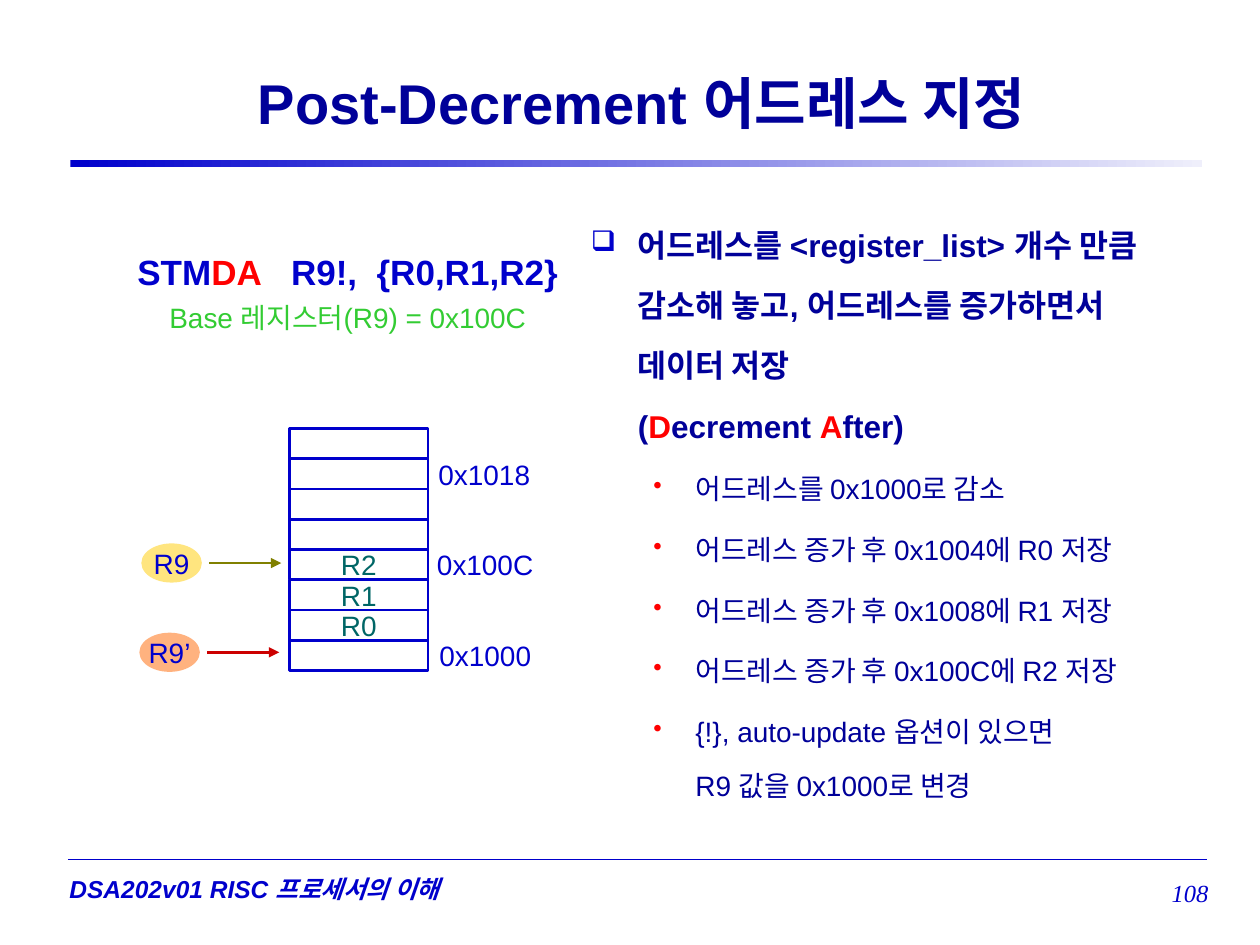
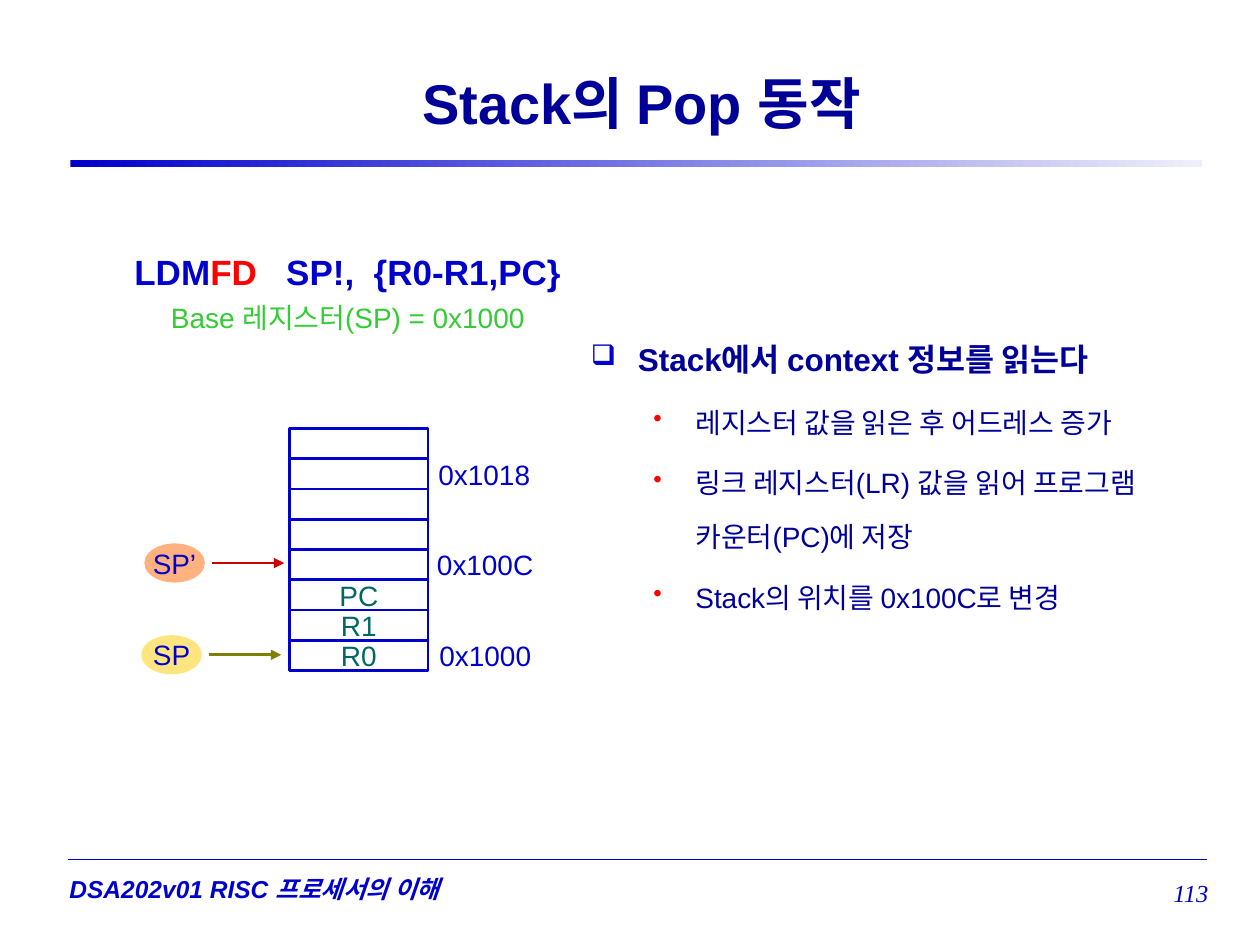
"""Build two slides on load/store-multiple addressing and the stack."""
from dataclasses import dataclass

from lxml import etree
from pptx import Presentation
from pptx import util as u
from pptx.dml.color import RGBColor
from pptx.enum import shapes, text
from pptx.oxml import ns


@dataclass(frozen=True)
class Theme:
    navy: str = "000099"
    blue: str = "0000CC"
    pale: str = "EFEFFB"
    red: str = "FF0000"
    green: str = "33CC33"
    teal: str = "006666"
    yellow: str = "FFCC00"
    orange: str = "FF6600"
    olive: str = "808000"
    crimson: str = "CC0000"
    sans: str = "Arial"
    serif: str = "Times New Roman"
    title: int = 32
    code: int = 20
    lead: int = 18
    body: int = 16
    footer: int = 14


THEME = Theme()
FOOTER = "DSA202v01 RISC 프로세서의 이해"
ADDRESSES = [(1, 8.59, "0x1018"), (4, 8.56, "0x100C"), (7, 8.61, "0x1000")]
BEFORE = (THEME.yellow, THEME.olive)
AFTER = (THEME.orange, THEME.crimson)
SLIDES = [
    {
        "title": "Post-Decrement 어드레스 지정",
        "number": "108",
        "code": ("STM", "DA", "   R9!,  {R0,R1,R2}"),
        "base": "Base 레지스터(R9) = 0x100C",
        "cells": {4: "R2", 5: "R1", 6: "R0"},
        "pointers": [("R9", 2.85, 11.35, BEFORE), ("R9’", 2.81, 13.15, AFTER)],
        "notes_top": 3.96,
        "lead": [
            ("어드레스를 <register_list> 개수 만큼 감소해 놓고, "
             "어드레스를 증가하면서 데이터 저장\n(", THEME.navy),
            ("D", THEME.red),
            ("ecrement ", THEME.navy),
            ("A", THEME.red),
            ("fter)", THEME.navy),
        ],
        "points": [
            "어드레스를 0x1000로 감소",
            "어드레스 증가 후 0x1004에 R0 저장",
            "어드레스 증가 후 0x1008에 R1 저장",
            "어드레스 증가 후 0x100C에 R2 저장",
            "{!}, auto-update 옵션이 있으면\nR9 값을 0x1000로 변경",
        ],
    },
    {
        "title": "Stack의 Pop 동작",
        "number": "113",
        "code": ("LDM", "FD", "   SP!,  {R0-R1,PC}"),
        "base": "Base 레지스터(SP) = 0x1000",
        "cells": {5: "PC", 6: "R1", 7: "R0"},
        "pointers": [("SP", 2.85, 13.2, BEFORE), ("SP’", 2.91, 11.35, AFTER)],
        "notes_top": 6.27,
        "lead": [("Stack에서 context 정보를 읽는다", THEME.navy)],
        "points": [
            "레지스터 값을 읽은 후 어드레스 증가",
            "링크 레지스터(LR) 값을 읽어 프로그램 카운터(PC)에 저장",
            "Stack의 위치를 0x100C로 변경",
        ],
    },
]

ROW_COUNT, ROW_TOP, ROW_PITCH = 8, 8.64, 0.61
CELL_LEFT, CELL_WIDTH = 5.84, 2.79
OVAL_WIDTH, OVAL_HEIGHT = 1.22, 0.79
ARROW_OFFSET, ARROW_LENGTH = 1.37, 1.45


def rgb(value):
    return RGBColor.from_string(value)


def add_span(para, words, size, color, bold=False, italic=False, font=THEME.sans):
    for index, line in enumerate(words.split("\n")):
        if index:
            para.add_line_break()
        span = para.add_run()
        span.text = line
        span.font.name, span.font.size = font, u.Pt(size)
        span.font.bold, span.font.italic = bold, italic
        span.font.color.rgb = rgb(color)


def prepare_frame(shape, inset, anchor):
    frame = shape.text_frame
    frame.word_wrap = True
    frame.margin_left = frame.margin_right = u.Cm(inset)
    frame.margin_top = frame.margin_bottom = u.Cm(0.13)
    frame.vertical_anchor = anchor
    return frame


def add_box(page, left, top, width, height, inset=0.25, anchor=text.MSO_ANCHOR.MIDDLE):
    box = page.shapes.add_textbox(*map(u.Cm, (left, top, width, height)))
    return prepare_frame(box, inset, anchor)


def add_figure(page, kind, left, top, width, height):
    figure = page.shapes.add_shape(kind, *map(u.Cm, (left, top, width, height)))
    figure.shadow.inherit = False
    return figure


def add_line(page, left, y, width, color, weight):
    line = page.shapes.add_connector(
        shapes.MSO_CONNECTOR.STRAIGHT, *map(u.Cm, (left, y, left + width, y)))
    line.line.color.rgb = rgb(color)
    line.line.width = u.Pt(weight)
    etree.SubElement(line._element.spPr, ns.qn("a:effectLst"))
    return line


def write_label(shape, words, color):
    frame = prepare_frame(shape, 0, text.MSO_ANCHOR.MIDDLE)
    frame.word_wrap = False
    frame.margin_top = frame.margin_bottom = 0
    para = frame.paragraphs[0]
    para.alignment = text.PP_ALIGN.CENTER
    add_span(para, words, THEME.body, color)


def add_bullet(para, mark, color, margin, hanging):
    props = para._p.get_or_add_pPr()
    props.set("marL", str(u.Cm(margin)))
    props.set("indent", str(-u.Cm(hanging)))
    tint = etree.SubElement(props, ns.qn("a:buClr"))
    etree.SubElement(tint, ns.qn("a:srgbClr"), val=color)
    etree.SubElement(props, ns.qn("a:buSzPct"), val="90000")
    etree.SubElement(props, ns.qn("a:buChar"), char=mark)


def add_common(page, title, number):
    band = add_figure(page, shapes.MSO_SHAPE.RECTANGLE, 1.42, 3.23, 22.81, 0.13)
    band.line.fill.background()
    band.fill.gradient()
    band.fill.gradient_angle = 0
    for stop, color in zip(band.fill.gradient_stops, (THEME.blue, THEME.pale)):
        stop.color.rgb = rgb(color)
    add_line(page, 1.37, 17.32, 22.96, THEME.blue, 0.75)
    para = add_box(page, 1.35, 17.48, 9.83, 0.86, 0.05).paragraphs[0]
    add_span(para, FOOTER, THEME.footer, THEME.blue, True, True)
    para = add_box(page, 22.02, 17.37, 2.34, 1.27, 0).paragraphs[0]
    para.alignment = text.PP_ALIGN.RIGHT
    add_span(para, number, THEME.footer, THEME.blue, italic=True, font=THEME.serif)
    para = add_box(page, 2.24, 0.79, 21.39, 2.54).paragraphs[0]
    para.alignment = text.PP_ALIGN.CENTER
    add_span(para, title, THEME.title, THEME.navy, True)


def add_instruction(page, code, base):
    frame = add_box(page, 1.42, 5.16, 11.18, 2, anchor=text.MSO_ANCHOR.TOP)
    code_para, base_para = frame.paragraphs[0], frame.add_paragraph()
    for para in (code_para, base_para):
        para.alignment = text.PP_ALIGN.CENTER
        para.line_spacing = 0.7
    base_para.space_before = u.Pt(10)
    for words, color in zip(code, (THEME.blue, THEME.red, THEME.blue)):
        add_span(code_para, words, THEME.code, color, True)
    add_span(base_para, base, THEME.body, THEME.green)


def add_notes(page, top, lead, points):
    frame = add_box(page, 11.66, top, 12.52, 16.94 - top, anchor=text.MSO_ANCHOR.TOP)
    para = frame.paragraphs[0]
    para.line_spacing = 1.6
    add_bullet(para, "❑", THEME.blue, 0.95, 0.95)
    for words, color in lead:
        add_span(para, words, THEME.lead, color, True)
    for point in points:
        para = frame.add_paragraph()
        para.level = 1
        para.line_spacing = 1.6
        para.space_before = u.Pt(4)
        add_bullet(para, "•", THEME.red, 2.11, 0.85)
        add_span(para, point, THEME.body, THEME.navy)


def add_memory(page, cells):
    for row in range(ROW_COUNT):
        cell = add_figure(page, shapes.MSO_SHAPE.RECTANGLE, CELL_LEFT,
                          ROW_TOP + row * ROW_PITCH, CELL_WIDTH, ROW_PITCH)
        cell.fill.background()
        cell.line.color.rgb = rgb(THEME.blue)
        cell.line.width = u.Pt(1.5)
        if row in cells:
            write_label(cell, cells[row], THEME.teal)
    for row, left, address in ADDRESSES:
        frame = add_box(page, left, ROW_TOP + row * ROW_PITCH, 2.87, ROW_PITCH)
        add_span(frame.paragraphs[0], address, THEME.body, THEME.blue)


def add_pointer(page, name, left, center, colors):
    fill, stroke = colors
    oval = add_figure(page, shapes.MSO_SHAPE.OVAL, left, center - OVAL_HEIGHT / 2,
                      OVAL_WIDTH, OVAL_HEIGHT)
    oval.fill.solid()
    oval.fill.fore_color.rgb = rgb(fill)
    tint = oval._element.spPr.find(".//" + ns.qn("a:srgbClr"))
    etree.SubElement(tint, ns.qn("a:alpha"), val="50000")
    oval.line.fill.background()
    write_label(oval, name, THEME.blue)
    arrow = add_line(page, left + ARROW_OFFSET, center, ARROW_LENGTH, stroke, 1.5)
    etree.SubElement(arrow.line._get_or_add_ln(), ns.qn("a:tailEnd"), type="triangle")


def main():
    deck = Presentation()
    deck.slide_width, deck.slide_height = u.Cm(25.4), u.Cm(19.05)
    for content in SLIDES:
        page = deck.slides.add_slide(deck.slide_layouts[6])
        add_common(page, content["title"], content["number"])
        add_instruction(page, content["code"], content["base"])
        add_notes(page, content["notes_top"], content["lead"], content["points"])
        add_memory(page, content["cells"])
        for pointer in content["pointers"]:
            add_pointer(page, *pointer)
    deck.save("out.pptx")


if __name__ == "__main__":
    main()
